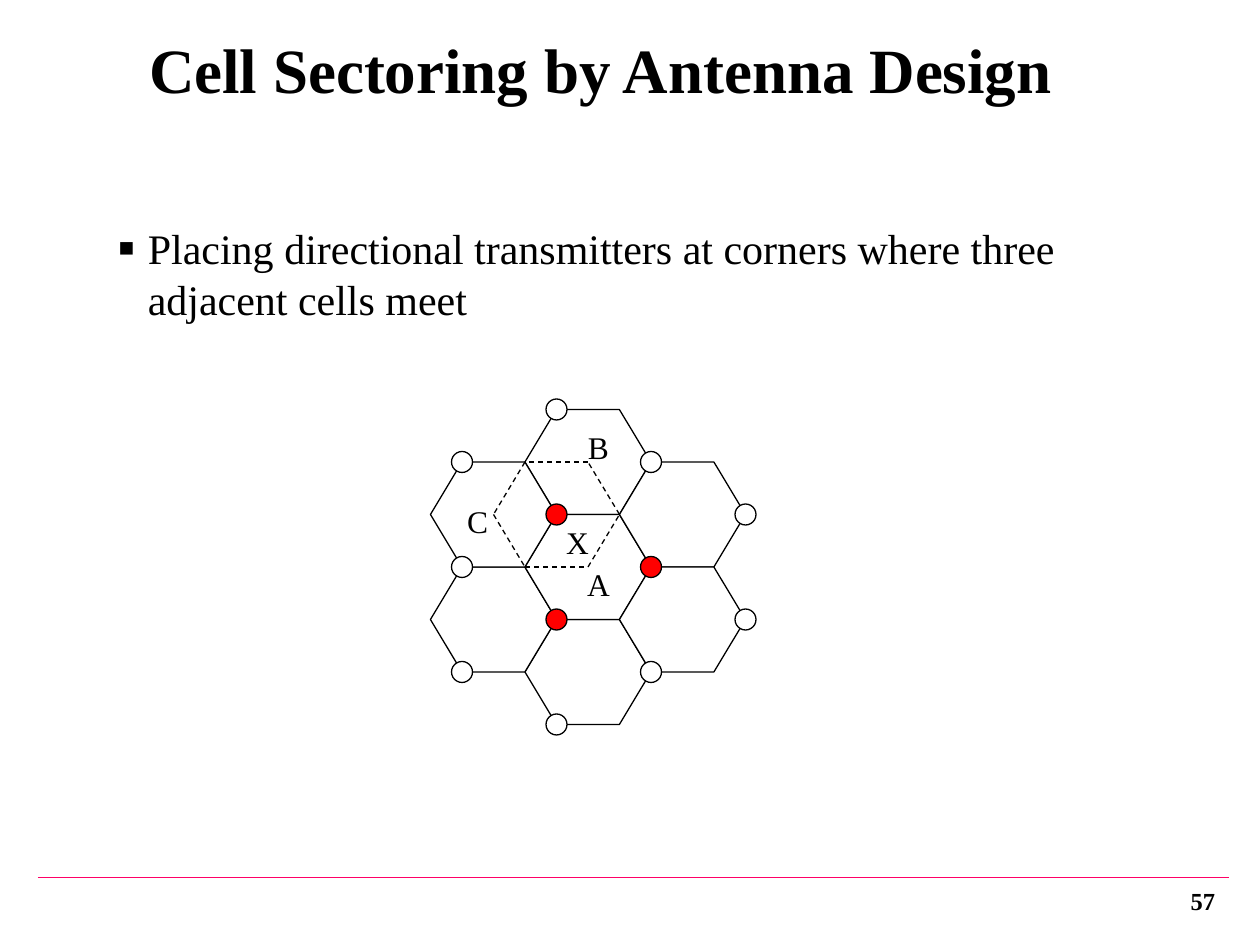
from lxml import etree
from pptx import Presentation
from pptx.dml.color import RGBColor
from pptx.enum.dml import MSO_LINE_DASH_STYLE as Dash
from pptx.enum.shapes import MSO_CONNECTOR as Connector, MSO_SHAPE as Shape
from pptx.enum.text import MSO_ANCHOR as Anchor, PP_ALIGN as Align
from pptx.oxml.ns import qn
from pptx.util import Inches, Pt

BLACK = RGBColor(0x00, 0x00, 0x00)
WHITE = RGBColor(0xFF, 0xFF, 0xFF)
RED = RGBColor(0xFF, 0x00, 0x00)
PINK = RGBColor(0xFF, 0x00, 0x66)
FONT = "Times New Roman"

presentation = Presentation()
presentation.slide_width = Inches(10)
presentation.slide_height = Inches(7.5)
column = presentation.slide_width / 120
row = presentation.slide_height / 90
slide = presentation.slides.add_slide(presentation.slide_layouts[1])
shapes = slide.shapes


def box(left, top, width, height):
    return [round(left * column), round(top * row), round(width * column), round(height * row)]


def add_run(paragraph, text, size, bold=False):
    run = paragraph.add_run()
    run.text = text
    run.font.name = FONT
    run.font.size = Pt(size)
    run.font.bold = bold
    run.font.color.rgb = BLACK


title = shapes.title
title.left, title.top, title.width, title.height = box(13, 1, 102.2, 11)
title.text_frame.vertical_anchor = Anchor.MIDDLE
paragraph = title.text_frame.paragraphs[0]
paragraph.alignment = Align.LEFT
add_run(paragraph, "Cell Sectoring by Antenna Design", 36, bold=True)

body = slide.placeholders[1]
body.left, body.top, body.width, body.height = box(10, 18, 97, 16)
body.text_frame.vertical_anchor = Anchor.MIDDLE
body.text_frame.word_wrap = False
lines = [
    ("Placing directional transmitters at corners where three", "▪"),
    ("adjacent cells meet", None),
]
for index, (text, bullet) in enumerate(lines):
    paragraph = body.text_frame.paragraphs[0] if index == 0 else body.text_frame.add_paragraph()
    paragraph.space_before = Pt(0)
    properties = paragraph._p.get_or_add_pPr()
    properties.set("marL", str(Inches(0.24)))
    properties.set("indent", str(Inches(-0.24) if bullet else 0))
    if bullet:
        etree.SubElement(properties, qn("a:buSzPct")).set("val", "120000")
        etree.SubElement(properties, qn("a:buFont")).set("typeface", FONT)
        etree.SubElement(properties, qn("a:buChar")).set("char", bullet)
    else:
        etree.SubElement(properties, qn("a:buNone"))
    add_run(paragraph, text, 24)

cells = shapes.add_group_shape()
cell_corners = [(50, 59), (50, 39), (41, 54), (50, 49), (41, 44), (59, 44), (59, 54)]
hexagons = [cells.shapes.add_shape(Shape.HEXAGON, *box(left, top, 12, 10))
            for left, top in cell_corners]
for hexagon in hexagons:
    hexagon.adjustments[0] = 0.3

red_centers = [(53, 59), (62, 54), (53, 49)]
white_centers = [(53, 69), (62, 64), (71, 59), (71, 49), (62, 44),
                 (53, 39), (44, 44), (44, 54), (44, 64)]
transmitters = [shapes.add_shape(Shape.OVAL, *box(x - 1, y - 1, 2, 2))
                for x, y in red_centers + white_centers]

for index, shape in enumerate(hexagons + transmitters):
    is_red = len(hexagons) <= index < len(hexagons) + len(red_centers)
    shape.shadow.inherit = False
    shape.fill.solid()
    shape.fill.fore_color.rgb = RED if is_red else WHITE
    shape.line.color.rgb = BLACK
    shape.line.width = Pt(0.75)

sector = [(50, 44), (47, 49), (50, 54), (56, 54), (59, 49), (56, 44)]
segments = [(start, end, BLACK, Dash.DASH) for start, end in zip(sector, sector[1:] + sector[:1])]
segments.append(((3.6, 83.6), (117, 83.6), PINK, None))
for start, end, color, dash in segments:
    line = shapes.add_connector(Connector.STRAIGHT, *box(*start, *end))
    line.line.color.rgb = color
    line.line.width = Pt(0.75)
    if dash:
        line.line.dash_style = dash
    etree.SubElement(line._element.spPr, qn("a:effectLst"))

labels = [
    ("A", 54, 53.2, 6, 18, Align.CENTER),
    ("B", 54, 40.2, 6, 18, Align.CENTER),
    ("C", 42, 47.2, 7, 18, Align.CENTER),
    ("X", 52, 49.2, 6, 18, Align.CENTER),
    ("57", 106, 83.4, 10.9, 14, Align.RIGHT),
]
for text, left, top, width, size, alignment in labels:
    label = shapes.add_textbox(*box(left, top, width, 4.8))
    label.text_frame.word_wrap = True
    label.text_frame.vertical_anchor = Anchor.MIDDLE
    paragraph = label.text_frame.paragraphs[0]
    paragraph.alignment = alignment
    add_run(paragraph, text, size, bold=text == "57")

presentation.save("out.pptx")
